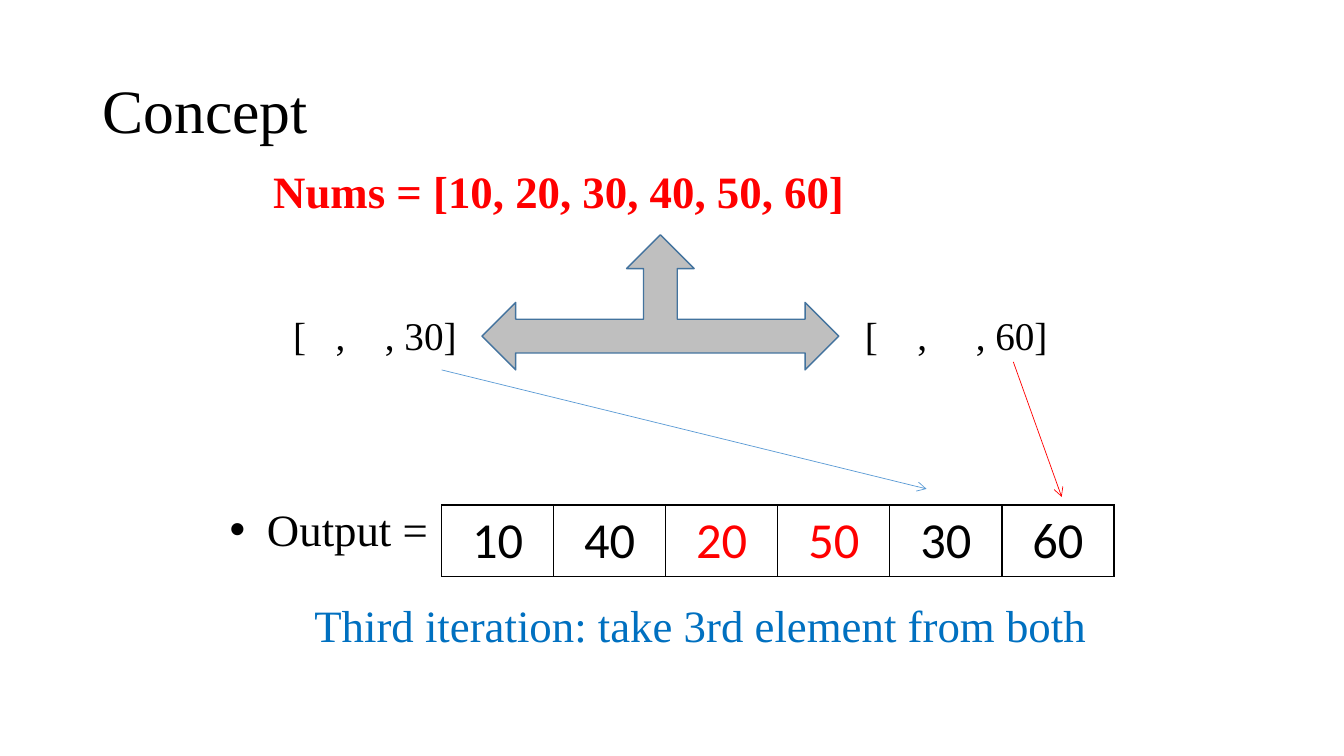
from lxml.etree import SubElement
from pptx import Presentation
from pptx.dml.color import RGBColor
from pptx.enum.shapes import MSO_CONNECTOR, MSO_SHAPE
from pptx.enum.text import MSO_ANCHOR, PP_ALIGN
from pptx.oxml.ns import qn
from pptx.util import Pt

PX = 9144  # one hundredth of an inch

BLACK = RGBColor(0x00, 0x00, 0x00)
RED = RGBColor(0xFF, 0x00, 0x00)
BLUE = RGBColor(0x00, 0x70, 0xC0)
LIGHT_BLUE = RGBColor(0x5B, 0x9B, 0xD5)
DARK_BLUE = RGBColor(0x43, 0x73, 0x9E)
GRAY = RGBColor(0xBF, 0xBF, 0xBF)


class ConceptSlide:
    text_font = "Times New Roman"
    table_font = "Calibri"

    def __init__(self, deck):
        self.page = deck.slides.add_slide(deck.slide_layouts[6])

    def add_span(self, para, text, size, color=BLACK, font=text_font, bold=False):
        span = para.add_run()
        span.text = text
        span.font.name = font
        span.font.size = Pt(size)
        span.font.bold = bold
        span.font.color.rgb = color

    def text(self, text, left, top, width, height, size=32, color=BLACK, bold=False,
             anchor=MSO_ANCHOR.TOP, inset=None, hanging=0, tabs=(), line_spacing=None):
        """Add a one-paragraph box; hanging is the bullet indent, tabs the stops in px."""
        box = self.page.shapes.add_textbox(*(n * PX for n in (left, top, width, height)))
        frame = box.text_frame
        frame.word_wrap = True
        frame.vertical_anchor = anchor
        if inset is not None:
            frame.margin_left = frame.margin_right = inset * PX
            frame.margin_top = frame.margin_bottom = inset * PX
        para = frame.paragraphs[0]
        properties = para._p.get_or_add_pPr()
        if hanging:
            properties.set("marL", str(hanging * PX))
            properties.set("indent", str(-hanging * PX))
            SubElement(properties, qn("a:buFont"), typeface="Arial")
            SubElement(properties, qn("a:buChar"), char="•")
        if tabs:
            stops = SubElement(properties, qn("a:tabLst"))
            for stop in tabs:
                SubElement(stops, qn("a:tab"), pos=str(stop * PX), algn="l")
        if line_spacing:
            para.line_spacing = line_spacing
        self.add_span(para, text, size, color, bold=bold)

    def three_way_arrow(self, left, top, width, height):
        shape = self.page.shapes.add_shape(
            MSO_SHAPE.LEFT_RIGHT_UP_ARROW, *(n * PX for n in (left, top, width, height)))
        shape.shadow.inherit = False
        shape.fill.solid()
        shape.fill.fore_color.rgb = GRAY
        shape.line.color.rgb = DARK_BLUE
        shape.line.width = Pt(1)

    def arrow(self, start, end, color):
        connector = self.page.shapes.add_connector(
            MSO_CONNECTOR.STRAIGHT, *(n * PX for n in start + end))
        connector.line.color.rgb = color
        connector.line.width = Pt(0.5)
        properties = connector._element.spPr
        SubElement(properties.find(qn("a:ln")), qn("a:tailEnd"), type="arrow")
        SubElement(properties, qn("a:effectLst"))

    def border(self, cell):
        properties = cell._tc.get_or_add_tcPr()
        for position, side in enumerate(("lnL", "lnR", "lnT", "lnB")):
            edge = properties.makeelement(qn(f"a:{side}"), {"w": str(Pt(1))})
            fill = SubElement(edge, qn("a:solidFill"))
            SubElement(fill, qn("a:srgbClr"), val=str(BLACK))
            properties.insert(position, edge)

    def number_row(self, numbers, left, top, width, height, highlighted):
        table = self.page.shapes.add_table(
            1, len(numbers), *(n * PX for n in (left, top, width, height))).table
        table.first_row = table.horz_banding = False
        for cell, number in zip(table.iter_cells(), numbers):
            cell.fill.background()
            self.border(cell)
            para = cell.text_frame.paragraphs[0]
            para.alignment = PP_ALIGN.CENTER
            color = RED if number in highlighted else BLACK
            self.add_span(para, str(number), 36, color, font=self.table_font)


def main():
    deck = Presentation()
    deck.slide_width, deck.slide_height = 1333 * PX, 750 * PX
    slide = ConceptSlide(deck)

    slide.text("Concept", 92, 40, 1150, 145, size=44, anchor=MSO_ANCHOR.MIDDLE,
               line_spacing=0.9)
    slide.three_way_arrow(478, 233, 354, 134)
    slide.text("[\t,\t, 30]", 281, 304, 184, 57, size=28, tabs=(42, 91))
    slide.text("[\t,\t, 60]", 848, 304, 204, 57, size=28, tabs=(52, 110))
    slide.text("Output =", 218, 493, 900, 63, hanging=37)
    slide.number_row((10, 40, 20, 50, 30, 60), 438, 501, 667, 71, highlighted=(20, 50))
    slide.text("Third iteration: take 3rd element from both", 302, 588, 900, 63, color=BLUE)
    slide.arrow((438, 367), (919, 485), LIGHT_BLUE)
    slide.arrow((1005, 359), (1053, 493), RED)
    slide.text("Nums = [10, 20, 30, 40, 50, 60]", 271, 162, 900, 63, color=RED, bold=True,
               inset=0)

    deck.save("out.pptx")


if __name__ == "__main__":
    main()
